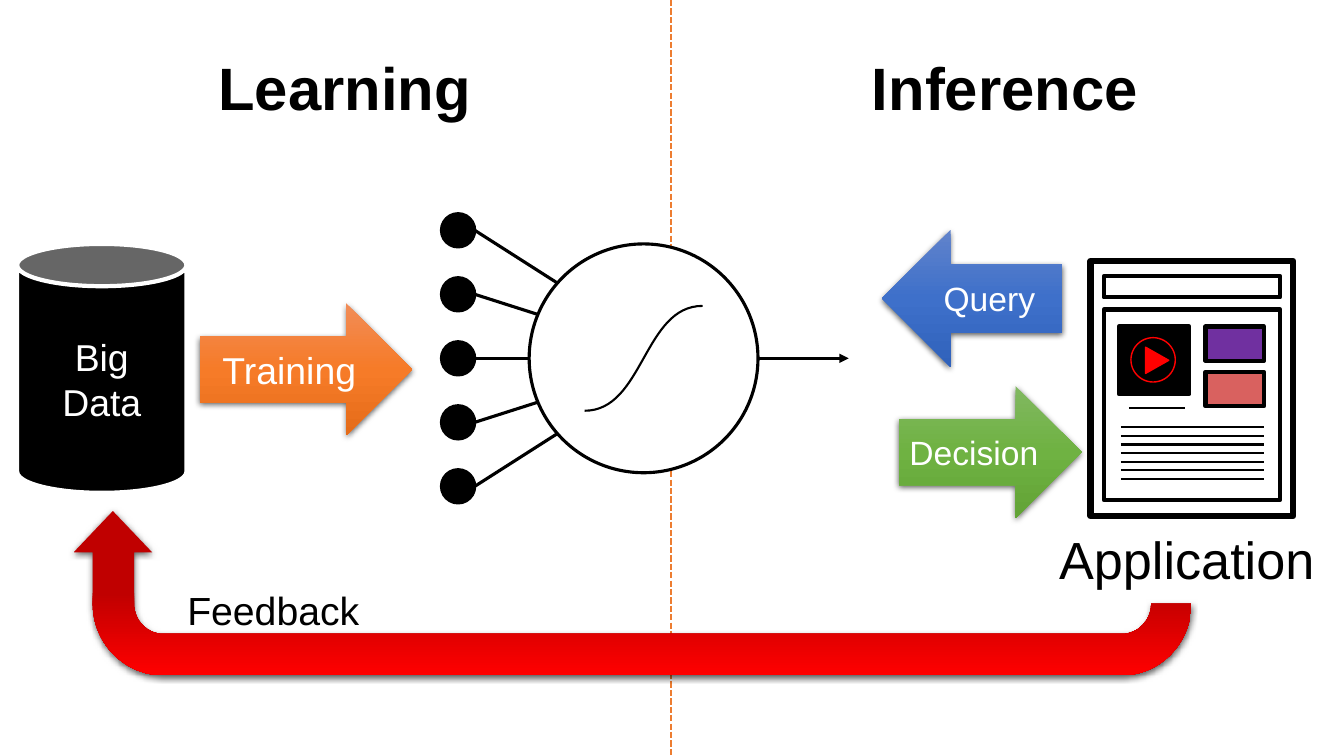
from dataclasses import dataclass

from lxml import etree
from pptx import Presentation
from pptx import util as u
from pptx.dml.color import RGBColor
from pptx.enum import dml, shapes, text
from pptx.oxml.ns import qn

PX = 9144
KIND = shapes.MSO_SHAPE


@dataclass(frozen=True)
class Theme:
    font: str = "Arial"
    black: str = "000000"
    white: str = "FFFFFF"
    split: str = "ED7D31"
    play: str = "FF0000"
    cards: tuple = ("7030A0", "D9615F")
    train: tuple = ("F18C57", "F67B28", "E56C19")
    query: tuple = ("6183CB", "3E70CA", "3062BB")
    reply: tuple = ("81B861", "6FB242", "62A336")
    loop: tuple = ("C00000", "C00000", "FF0000")
    title: float = 42.7
    label: float = 37.3
    note: float = 28
    large: float = 26.7
    small: float = 24


T = Theme()


def px(*vals):
    return [round(v * PX) for v in vals]


def rgb(code):
    return RGBColor.from_string(code)


def sub(parent, tag, **attrs):
    return etree.SubElement(parent, qn(tag), attrs)


def write(shape, words, size, color, bold=False, align=text.PP_ALIGN.CENTER):
    frame = shape.text_frame
    frame.text = words
    for para in frame.paragraphs:
        para.alignment = align
        font = para.font
        font.name, font.size, font.bold = T.font, u.Pt(size), bold
        font.color.rgb = rgb(color)
    return frame


def label(slide, box, words, size, **style):
    frame = write(slide.shapes.add_textbox(*px(*box)), words, size, T.black, **style)
    frame.word_wrap = False
    frame.auto_size = text.MSO_AUTO_SIZE.SHAPE_TO_FIT_TEXT


def form(slide, kind, box, fill=None, line=T.black, width=2.25):
    shape = slide.shapes.add_shape(kind, *px(*box))
    shape.shadow.inherit = False
    if fill:
        shape.fill.solid()
        shape.fill.fore_color.rgb = rgb(fill)
    else:
        shape.fill.background()
    shape.line.color.rgb = rgb(line)
    shape.line.width = u.Pt(width)
    return shape


def rule(slide, x1, y1, x2, y2, width=1.5, color=T.black):
    line = slide.shapes.add_connector(shapes.MSO_CONNECTOR.STRAIGHT, *px(x1, y1, x2, y2))
    line.line.color.rgb = rgb(color)
    line.line.width = u.Pt(width)
    sub(line._element.spPr, "a:effectLst")
    return line


def trace(slide, start, steps, close=False):
    pen = slide.shapes.build_freeform(*px(*start), scale=1.0)
    pen.add_line_segments([px(*p) for step in steps for p in step], close=close)
    shape = pen.convert_to_shape()
    shape.shadow.inherit = False
    legs = iter(list(shape._element.iter(qn("a:lnTo"))))
    for step in steps:
        parts = [next(legs) for _ in step]
        if len(step) == 3:
            bend = etree.Element(qn("a:cubicBezTo"))
            parts[0].addprevious(bend)
            for part in parts:
                bend.append(part[0])
                part.getparent().remove(part)
    return shape


def glow(shape, colors):
    shape.line.fill.background()
    props = shape._element.spPr
    grad = etree.Element(qn("a:gradFill"), rotWithShape="1")
    stops = sub(grad, "a:gsLst")
    for i, code in enumerate(colors):
        sub(sub(stops, "a:gs", pos=str(50000 * i)), "a:srgbClr", val=code)
    sub(grad, "a:lin", ang="5400000", scaled="0")
    for old in props.findall(qn("a:noFill")):
        props.remove(old)
    props.find(qn("a:ln")).addprevious(grad)
    cast = sub(props.find(qn("a:effectLst")), "a:outerShdw", blurRad="57150",
               dist="19050", dir="5400000", algn="ctr", rotWithShape="0")
    sub(sub(cast, "a:srgbClr", val=T.black), "a:alpha", val="63000")


def arrow(slide, kind, box, words, size, colors):
    shape = form(slide, kind, box)
    glow(shape, colors)
    write(shape, words, size, T.white)


def data(slide, box):
    can = form(slide, KIND.CAN, box, T.black, T.white, 3)
    write(can, "Big\nData", T.large, T.white)


def neuron(slide, box):
    x, y, w, h = box
    mid, ball, body = y + h / 2, 33, 227
    hub = x + 232
    tip = rule(slide, hub, mid, x + w, mid, 2.25)
    spokes = [tip]
    tops = [y + (h - ball) * i / 4 for i in range(5)]
    for top in tops:
        spokes.append(rule(slide, x + ball, top + ball / 2, hub, mid, 2.25))
    for spoke in spokes:
        sub(spoke.line._get_or_add_ln(), "a:tailEnd", type="triangle")
    for top in tops:
        form(slide, KIND.OVAL, (x, top, ball, ball), T.black)
    left = x + 87
    form(slide, KIND.OVAL, (left, mid - body / 2, body, body), T.white)
    curve(slide, (left + 55, mid - 52, 117, 104))


def curve(slide, box):
    x, y, w, h = box
    bend = ((x + w / 2, y + h), (x + w / 2, y), (x + w, y))
    shape = trace(slide, (x, y + h), [bend])
    shape.fill.background()
    shape.line.color.rgb = rgb(T.black)
    shape.line.width = u.Pt(1.5)


def app(slide, box):
    x, y, w, h = box
    form(slide, KIND.RECTANGLE, box, T.white, width=4.5)
    for top, high in ((15, 21), (48, 189)):
        form(slide, KIND.RECTANGLE, (x + 13, y + top, w - 26, high), T.white, width=3)
    for i in range(7):
        row = y + 165 + 51 * i / 6
        rule(slide, x + 30, row, x + 172, row)
    video(slide, (x + 28, y + 65, 70, 67))
    for i, color in enumerate(T.cards):
        form(slide, KIND.RECTANGLE, (x + 114, y + 65 + 45 * i, 58, 34), color, width=3)
    label(slide, (x - 46, y + 259, 283, 73), "Application", T.label)


def video(slide, box):
    x, y, w, h = box
    form(slide, KIND.RECTANGLE, box, T.black, width=3)
    form(slide, KIND.OVAL, (x + 12, y + 11, 44, 44), None, T.play, 1)
    play = form(slide, KIND.ISOSCELES_TRIANGLE, (x + 25, y + 22, 26, 23), T.play, T.play, 1)
    play.rotation = 90
    rule(slide, x + 10, y + h + 14, x + w - 4, y + h + 14)


def turn(start, corner, end):
    pull = 0.55
    ease = [tuple(a + (c - a) * pull for a, c in zip(p, corner)) for p in (start, end)]
    return (*ease, end)


def loop(slide, box):
    x, y, w, h = box
    right, base, bend = x + w, y + h, y + 92
    top, far, near = base - 41, right - 69, x + 89
    steps = [
        ((right, bend),),
        turn((right, bend), (right, base), (far, base)),
        ((near, base),),
        turn((near, base), (x + 19, base), (x + 19, bend)),
    ]
    steps += [((x + a, y + b),) for a, b in
              ((19, 41), (0, 41), (39, 0), (78, 41), (60, 41), (60, 92))]
    steps += [
        turn((x + 60, bend), (x + 60, top), (near, top)),
        ((far, top),),
        turn((far, top), (right - 40, top), (right - 40, bend)),
    ]
    glow(trace(slide, (right - 40, bend), steps, True), T.loop)
    label(slide, (x + 103, y + 70, 194, 57), "Feedback", T.note, align=text.PP_ALIGN.LEFT)


def flow(slide, box):
    x, y, w, h = box
    split = rule(slide, x + w // 2, y, x + w // 2, y + h, 1.5, T.split)
    split.line.dash_style = dml.MSO_LINE.SQUARE_DOT
    split.line._get_or_add_ln().find(qn("a:prstDash")).set("val", "sysDash")
    data(slide, (x + 17, y + 242, 168, 247))
    arrow(slide, KIND.RIGHT_ARROW, (x + 198, y + 301, 211, 131), "Training", T.large, T.train)
    app(slide, (x + 1082, y + 259, 201, 253))
    arrow(slide, KIND.RIGHT_ARROW, (x + 892, y + 383, 181, 131), "Decision", T.small, T.reply)
    arrow(slide, KIND.LEFT_ARROW, (x + 875, y + 228, 179, 136), "Query", T.small, T.query)
    label(slide, (x + 206, y + 45, 272, 82), "Learning", T.title, bold=True)
    label(slide, (x + 853, y + 45, 288, 82), "Inference", T.title, bold=True)
    loop(slide, (x + 73, y + 507, 1109, 163))
    neuron(slide, (x + 438, y + 212, 404, 287))


def main():
    deck = Presentation()
    deck.slide_width, deck.slide_height = u.Inches(40) // 3, u.Inches(7.5)
    flow(deck.slides.add_slide(deck.slide_layouts[6]), (0, 0, 1333, 750))
    deck.save("out.pptx")


if __name__ == "__main__":
    main()
